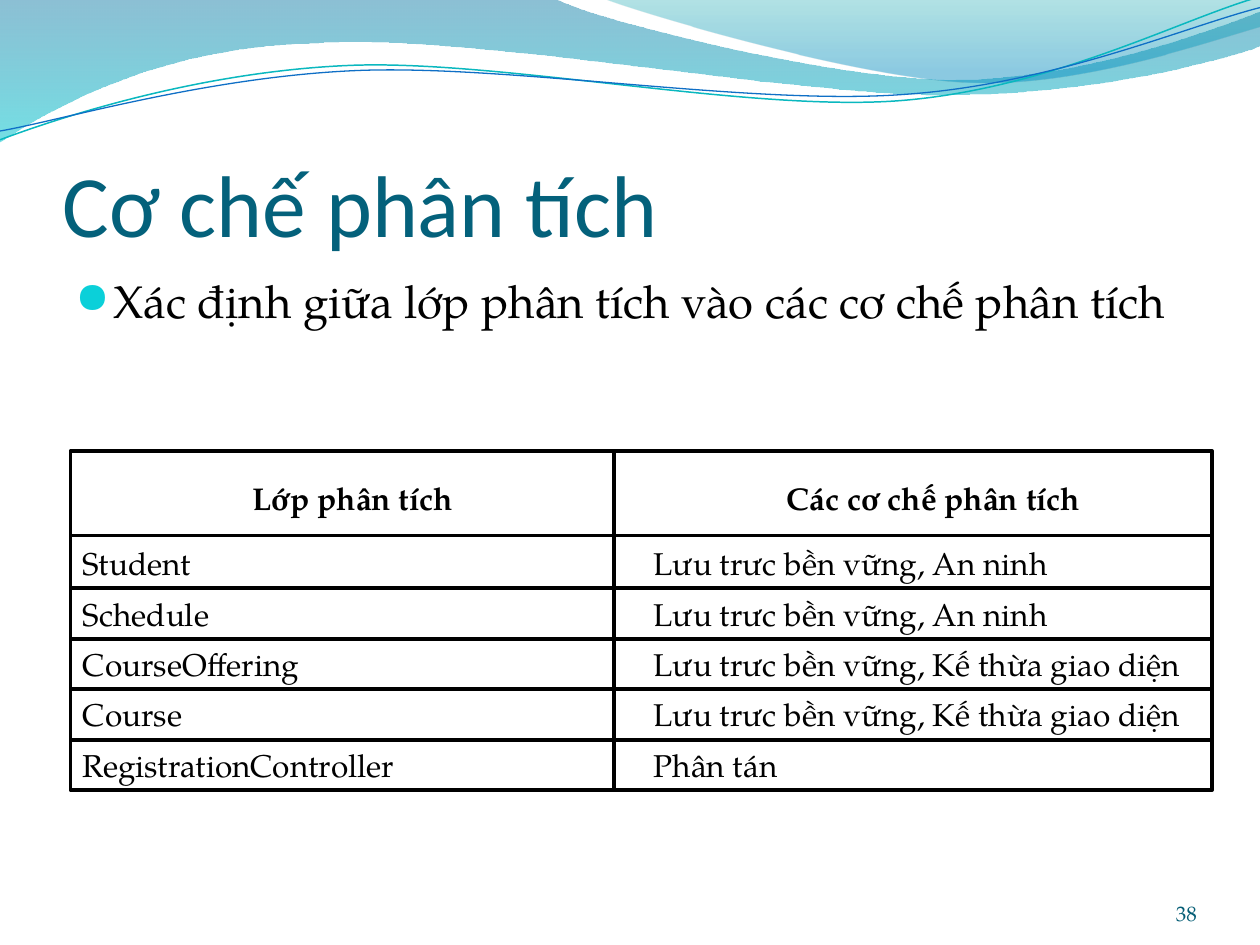
from dataclasses import dataclass
from itertools import accumulate
from math import cos, radians, sin
from typing import NamedTuple

from lxml.etree import SubElement
from pptx import Presentation
from pptx.dml.color import RGBColor
from pptx.enum.shapes import MSO_CONNECTOR as Connector, MSO_SHAPE as Shape
from pptx.enum.text import MSO_ANCHOR as Anchor, MSO_AUTO_SIZE as AutoSize, PP_ALIGN as Align
from pptx.oxml import parse_xml
from pptx.oxml.ns import nsdecls, qn
from pptx.util import Inches, Pt

# The slide is a grid of 10 columns by 7.5 rows; every length counts cells
COLS, ROWS = 10, 7.5


@dataclass(frozen=True)
class Theme:
    head_font: str = "Calibri"
    body_font: str = "TeX Gyre Pagella"
    bullet_font: str = "OpenSymbol"
    title: str = "04617B"
    number: str = "045D75"
    bullet: str = "0BD0D9"
    ink: str = "000000"
    title_size: int = 50
    body_size: int = 26
    table_size: int = 18
    number_size: int = 12
    rule: float = 2.25


T = Theme()
INSETS = (0.1, 0.05, 0.1, 0.05)


class Box(NamedTuple):
    col: float
    row: float
    cols: float
    rows: float


class Stop(NamedTuple):
    pos: int
    color: str
    alpha: int


class Wave(NamedTuple):
    box: Box
    start: tuple
    steps: list  # a pair is a straight step, six numbers are a Bezier curve
    stops: tuple = ()
    line: str = ""
    width: float = 0
    turn: float = 0


WAVES = [
    Wave(Box(-0.01, -0.01, 10.02, 1.14), (0, 0),
         [(4.4, -0.01), (4.76, 0.17, 6.64, 0.63, 7.58, 0.63),
          (8.53, 0.63, 9.58, 0.26, 10, 0.09), (10.01, 0.36),
          (9.83, 0.44, 8.7, 0.76, 7.46, 0.75),
          (6.22, 0.75, 3.82, 0.28, 2.57, 0.34),
          (1.29, 0.36, 0.46, 0.83, -0.01, 1.13), (0, 0)],
         stops=(Stop(0, "0074A1", 45), Stop(100, "00C6CF", 55))),
    Wave(Box(4.79, -0.01, 5.21, 0.7), (4.79, -0.01),
         [(5.09, 0.11, 6.82, 0.62, 7.69, 0.65),
          (8.56, 0.69, 9.61, 0.32, 10, 0.21), (10, 0), (4.79, -0.01)],
         stops=(Stop(0, "00A1A9", 30), Stop(80, "008BBF", 45))),
    Wave(Box(-0.02, 0.22, 10.02, 0.71), (0, 1.11),
         [(0.48, 0.93, 1.58, 0.57, 2.77, 0.52),
          (3.95, 0.47, 5.93, 0.89, 7.13, 0.8),
          (8.33, 0.71, 9.38, 0.15, 9.98, -0.02)],
         line="0AB8BF", width=0.85, turn=-2.7),
    Wave(Box(-0.02, 0.3, 10.03, 0.58), (0, 1.04),
         [(0.47, 0.96, 1.64, 0.61, 2.83, 0.56),
          (4.03, 0.51, 5.97, 0.84, 7.17, 0.75),
          (8.36, 0.67, 9.41, 0.21, 10, 0.06)],
         line="0F6FC6", width=0.75, turn=-2.7),
]

HEADER = ((Box(1.1, 3.75, 3.4, 0.4), "Lớp phân tích"),
          (Box(5.36, 3.75, 4.1, 0.4), "Các cơ chế phân tích"))
SECURE = ("Lưu trưc bền vững, An ninh", 3.78)
LEGACY = ("Lưu trưc bền vững, Kế thừa giao diện", 4.91)


class ClassRow(NamedTuple):
    name: str
    mechanism: tuple
    cols: float = 2.7


CLASSES = [ClassRow("Student", SECURE), ClassRow("Schedule", SECURE),
           ClassRow("CourseOffering", LEGACY), ClassRow("Course", LEGACY),
           ClassRow("RegistrationController", ("Phân tán", 2.65), 3.67)]
FRAME = Box(0.56, 3.58, 9.06, 2.69)
DIVIDER, HEADER_END, FIRST_ROW, ROW, MECHANISM = 4.87, 4.25, 4.27, 0.4, 5.09


def path_xml(w: Wave) -> str:
    """Describe the outline inside its box, before the box is turned."""
    b, a = w.box, radians(-w.turn)
    cx, cy = b.col + b.cols / 2, b.row + b.rows / 2

    def pt(x: float, y: float) -> str:
        dx, dy = x - cx, y - cy
        px = cx + dx * cos(a) - dy * sin(a) - b.col
        py = cy + dx * sin(a) + dy * cos(a) - b.row
        return f'<a:pt x="{Inches(px)}" y="{Inches(py)}"/>'

    body = f"<a:moveTo>{pt(*w.start)}</a:moveTo>"
    for step in w.steps:
        tag = "lnTo" if len(step) == 2 else "cubicBezTo"
        pts = "".join(pt(*xy) for xy in zip(step[0::2], step[1::2]))
        body += f"<a:{tag}>{pts}</a:{tag}>"
    return (f'<a:path {nsdecls("a")} w="{Inches(b.cols)}" h="{Inches(b.rows)}">'
            f'{body}{"<a:close/>" if w.stops else ""}</a:path>')


def add_wave(s, w: Wave) -> None:
    x, y, cols, rows = map(Inches, w.box)
    fb = s.shapes.build_freeform(x, y)
    fb.add_line_segments([(x + cols, y + rows)], close=False)
    sp = fb.convert_to_shape()
    sp.shadow.inherit = False
    sp.rotation = w.turn
    geom = sp._element.spPr.find(qn("a:custGeom"))
    paths = geom.find(qn("a:pathLst"))
    paths.replace(paths[0], parse_xml(path_xml(w)))
    if w.stops:
        sp.line.fill.background()
        stops = "".join(
            f'<a:gs pos="{g.pos * 1000}"><a:srgbClr val="{g.color}">'
            f'<a:alpha val="{g.alpha * 1000}"/></a:srgbClr></a:gs>' for g in w.stops)
        geom.addnext(parse_xml(
            f'<a:gradFill {nsdecls("a")} rotWithShape="1"><a:gsLst>{stops}'
            '</a:gsLst><a:lin ang="5400000" scaled="0"/></a:gradFill>'))
    else:
        sp.fill.background()
        set_line(sp, w.line, w.width)


def set_line(shape, color: str = T.ink, width: float = T.rule) -> None:
    shape.line.color.rgb = RGBColor.from_string(color)
    shape.line.width = Pt(width)


def add_rule(s, x1: float, y1: float, x2: float, y2: float) -> None:
    c = s.shapes.add_connector(Connector.STRAIGHT, *map(Inches, (x1, y1, x2, y2)))
    set_line(c)
    SubElement(c._element.spPr, qn("a:effectLst"))


def add_text(s, box: Box, text: str, size: int, color: str = T.ink,
             font: str = T.body_font, bold: bool = False, align=Align.LEFT,
             insets: tuple = INSETS, anchor=Anchor.TOP, grow: bool = False):
    """Add a wrapping text box and return its paragraph."""
    tf = s.shapes.add_textbox(*map(Inches, box)).text_frame
    tf.word_wrap = True
    tf.auto_size = AutoSize.SHAPE_TO_FIT_TEXT if grow else AutoSize.NONE
    tf.vertical_anchor = anchor
    tf.margin_left, tf.margin_top, tf.margin_right, tf.margin_bottom = map(Inches, insets)
    tf.text = text
    p = tf.paragraphs[0]
    p.alignment = align
    for r in p.runs:
        r.font.name, r.font.size, r.font.bold = font, Pt(size), bold
        r.font.color.rgb = RGBColor.from_string(color)
    return p


def add_bullet(p) -> None:
    pPr = p._p.get_or_add_pPr()
    pPr.set("marL", str(Inches(0.3)))
    pPr.set("indent", str(Inches(-0.3)))
    SubElement(SubElement(pPr, qn("a:buClr")), qn("a:srgbClr"), val=T.bullet)
    SubElement(pPr, qn("a:buSzPct"), val="95000")
    SubElement(pPr, qn("a:buFont"), typeface=T.bullet_font)
    SubElement(pPr, qn("a:buChar"), char="●")


def add_class_grid(s) -> None:
    right, bottom = FRAME.col + FRAME.cols, FRAME.row + FRAME.rows
    add_rule(s, DIVIDER, FRAME.row, DIVIDER, bottom)
    frame = s.shapes.add_shape(Shape.RECTANGLE, *map(Inches, FRAME))
    frame.shadow.inherit = False
    frame.fill.background()
    set_line(frame)
    add_rule(s, FRAME.col, HEADER_END, right, HEADER_END)
    for box, text in HEADER:
        add_text(s, box, text, T.table_size, bold=True, align=Align.CENTER, grow=True)
    tops = accumulate([ROW] * (len(CLASSES) - 1), initial=FIRST_ROW)
    for i, (top, row) in enumerate(zip(tops, CLASSES)):
        if i:
            add_rule(s, FRAME.col, top, right, top)
        for col, (text, cols) in ((FRAME.col, (row.name, row.cols)), (MECHANISM, row.mechanism)):
            add_text(s, Box(col, top, cols, ROW), text, T.table_size, grow=True)


def main() -> None:
    prs = Presentation()
    prs.slide_width, prs.slide_height = Inches(COLS), Inches(ROWS)
    s = prs.slides.add_slide(prs.slide_layouts[6])

    # Waves across the top
    for wave in WAVES:
        add_wave(s, wave)

    # Title, statement and slide number
    add_text(s, Box(0.5, 0.77, 9, 1.25), "Cơ chế phân tích", T.title_size, T.title,
             T.head_font, insets=(0, 0.05, 0, 0), anchor=Anchor.BOTTOM)
    add_bullet(add_text(s, Box(0.5, 2.12, 9, 4.8),
                        "Xác định giữa lớp phân tích vào các cơ chế phân tích", T.body_size))
    add_text(s, Box(8.67, 6.95, 0.83, 0.4), "38", T.number_size, T.number,
             align=Align.RIGHT, insets=(0, 0, 0, 0), anchor=Anchor.BOTTOM)

    # Analysis classes and their mechanisms
    add_class_grid(s)
    prs.save("out.pptx")


if __name__ == "__main__":
    main()
